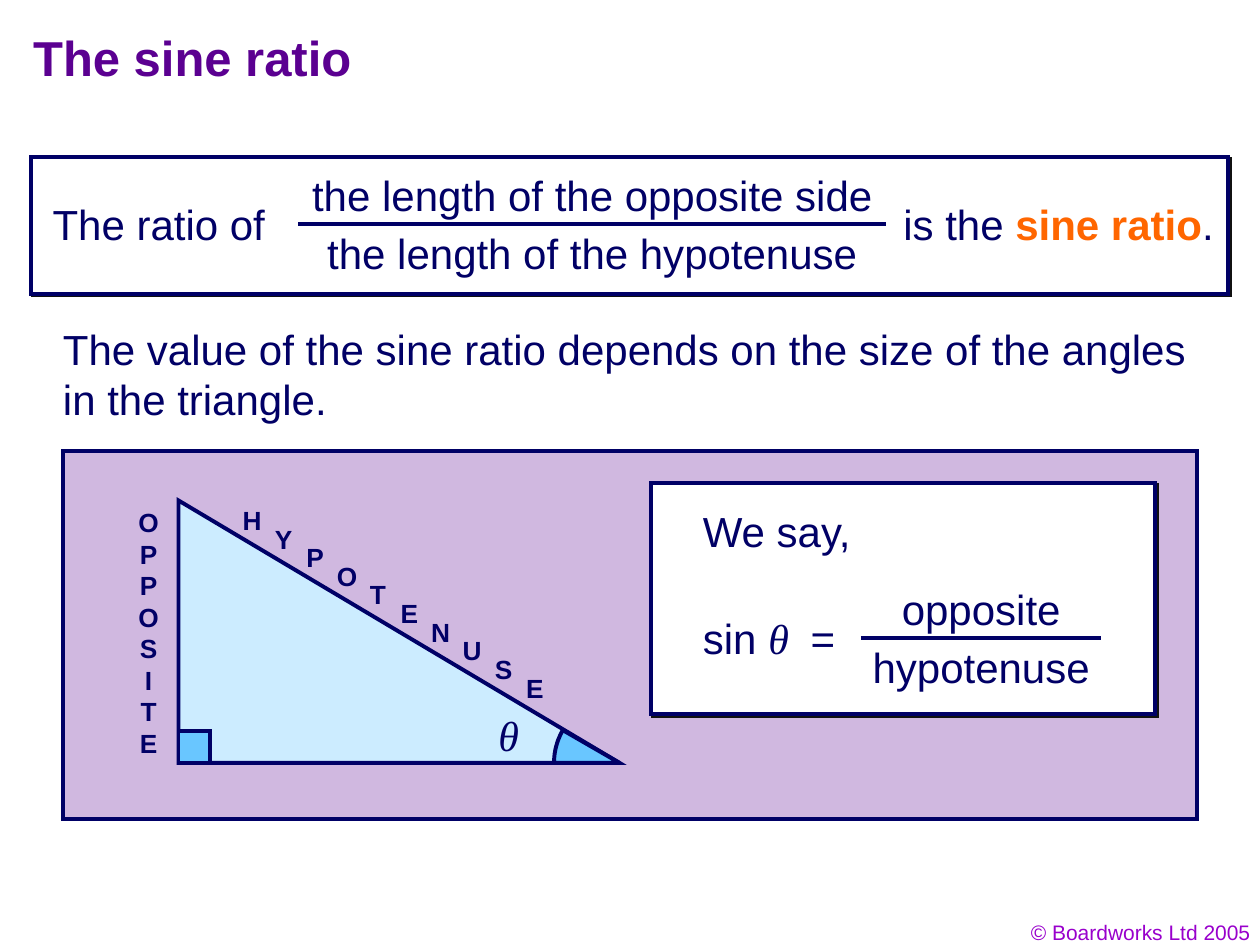
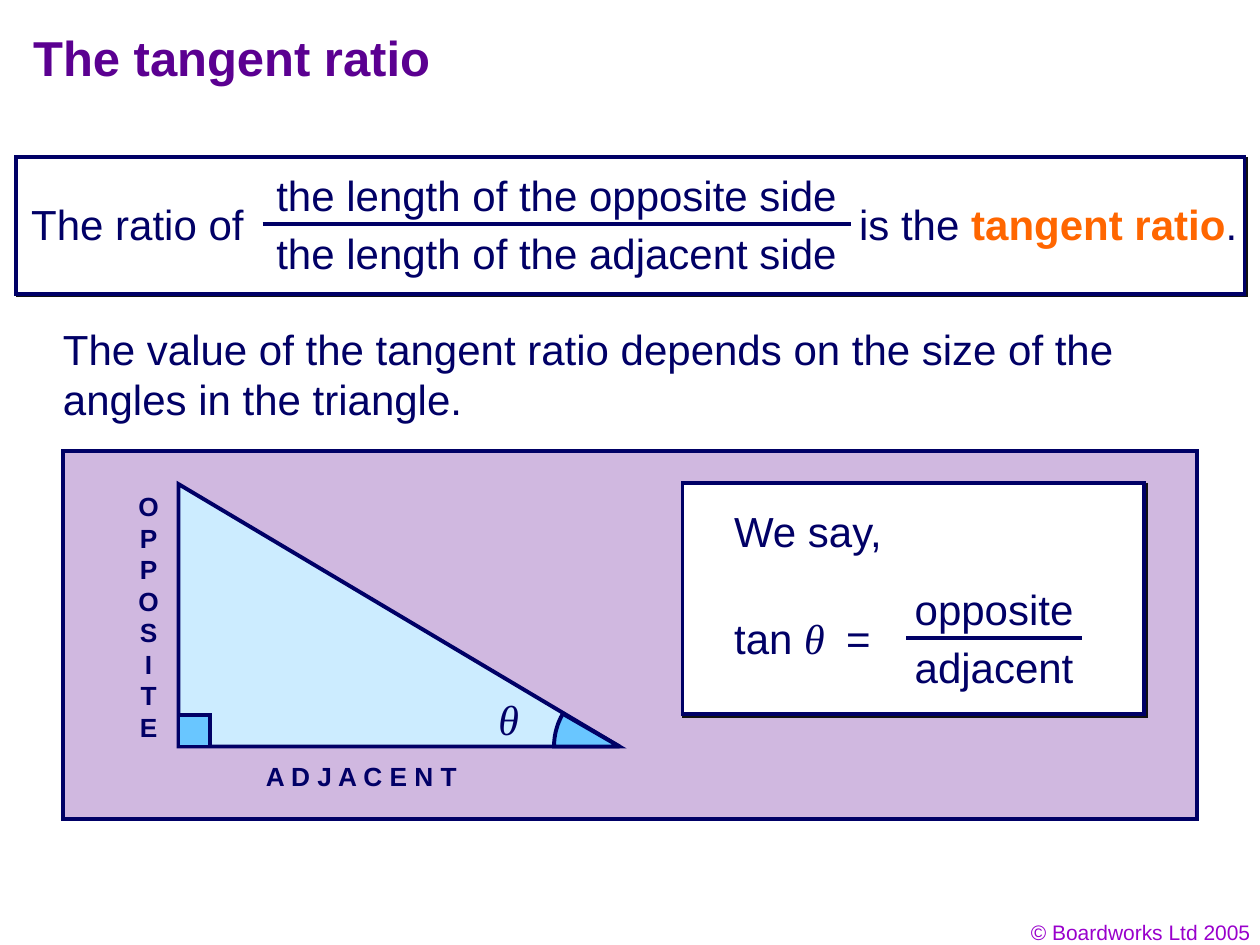
from dataclasses import dataclass, replace
from math import cos, radians, sin

from lxml.etree import SubElement
from pptx import Presentation
from pptx.dml.color import RGBColor
from pptx.enum.shapes import MSO_CONNECTOR as Connector, MSO_SHAPE as Preset
from pptx.enum.text import MSO_ANCHOR as Anchor, PP_ALIGN as Align
from pptx.oxml.ns import qn
from pptx.shapes.autoshape import Shape
from pptx.slide import Slide
from pptx.util import Cm, Pt

COLOURS = {
    "title": "5B0091",
    "footer": "9900CC",
    "text": "010066",
    "outline": "000066",
    "accent": "FF6600",
    "white": "FFFFFF",
    "panel": "D0B8E0",
    "triangle": "CCECFF",
    "angle": "69C6FF",
    "shadow": "111111",
}
LINE_WIDTH = Pt(2.25)
LINE_HEIGHT = 1.27
LETTER_SIZE = 0.89


@dataclass(frozen=True)
class Frame:
    left: float
    top: float
    width: float
    height: float = LINE_HEIGHT

    def lengths(self) -> tuple[Cm, Cm, Cm, Cm]:
        return Cm(self.left), Cm(self.top), Cm(self.width), Cm(self.height)


@dataclass(frozen=True)
class Span:
    text: str
    size: int = 24
    colour: str = "text"
    bold: bool = False
    italic: bool = False
    font: str = "Arial"


@dataclass(frozen=True)
class Fraction:
    numerator: str
    denominator: str
    centre: float
    top: float
    bar: float


@dataclass(frozen=True)
class RatioSlide:
    name: str
    function: str
    definition: Frame
    intro_left: float
    definition_fraction: Fraction
    ending: Frame
    triangle_top: float
    say_box: Frame
    equals_stop: float
    formula_fraction: Fraction


THETA = Span("θ", italic=True, font="Times New Roman")
LABEL = Span("", size=15, bold=True)
TITLE = Span("", size=28, colour="title", bold=True)
FOOTER = Span("© Boardworks Ltd 2005", size=12, colour="footer")

SLIDES = [
    RatioSlide(
        name="sine",
        function="sin",
        definition=Frame(0.63, 3.17, 24.13, 2.75),
        intro_left=0.81,
        definition_fraction=Fraction("the length of the opposite side",
                                     "the length of the hypotenuse", 11.94, 3.29, 11.85),
        ending=Frame(17.96, 3.88, 6.76),
        triangle_top=10.09,
        say_box=Frame(13.13, 9.74, 10.16, 4.66),
        equals_stop=2.17,
        formula_fraction=Fraction("opposite", "hypotenuse", 19.78, 11.64, 4.85),
    ),
    RatioSlide(
        name="tangent",
        function="tan",
        definition=Frame(0.32, 3.17, 24.77, 2.75),
        intro_left=0.38,
        definition_fraction=Fraction("the length of the opposite side",
                                     "the length of the adjacent side", 11.22, 3.29, 11.85),
        ending=Frame(17.07, 3.88, 8.13),
        triangle_top=9.76,
        say_box=Frame(13.76, 9.74, 9.31, 4.66),
        equals_stop=2.26,
        formula_fraction=Fraction("opposite", "adjacent", 20.04, 11.64, 3.55),
    ),
]


def colour(name: str) -> RGBColor:
    return RGBColor.from_string(COLOURS[name])


def add_text(page: Slide, frame: Frame, *spans: Span, align: Align = Align.LEFT,
             wrap: bool = False, anchor: Anchor = Anchor.TOP) -> Shape:
    box = page.shapes.add_textbox(*frame.lengths())
    text_frame = box.text_frame
    text_frame.word_wrap = wrap
    text_frame.vertical_anchor = anchor
    text_frame.text = spans[0].text
    for span in spans[1:]:
        text_frame.paragraphs[0].add_run().text = span.text
    for para in text_frame.paragraphs:
        para.alignment = align
        for run, span in zip(para.runs, spans):
            run.font.name = span.font
            run.font.size = Pt(span.size)
            run.font.bold = span.bold
            run.font.italic = span.italic
            run.font.color.rgb = colour(span.colour)
    return box


def paint(shape: Shape, fill: str) -> None:
    shape.shadow.inherit = False
    shape.fill.solid()
    shape.fill.fore_color.rgb = colour(fill)
    shape.line.color.rgb = colour("outline")
    shape.line.width = LINE_WIDTH
    SubElement(shape.element.spPr.find(qn("a:ln")), qn("a:miter"), lim="800000")


def add_block(page: Slide, frame: Frame, fill: str, preset: Preset = Preset.RECTANGLE) -> Shape:
    shape = page.shapes.add_shape(preset, *frame.lengths())
    paint(shape, fill)
    return shape


def add_card(page: Slide, frame: Frame) -> None:
    card = add_block(page, frame, "white")
    effects = card.element.spPr.find(qn("a:effectLst"))
    shadow = SubElement(effects, qn("a:outerShdw"), dist=str(Pt(1.4)), dir="2700000",
                        algn="ctr", rotWithShape="0")
    SubElement(shadow, qn("a:srgbClr"), val=COLOURS["shadow"])


def add_fraction(page: Slide, fraction: Fraction) -> None:
    left = fraction.centre - fraction.bar / 2
    overhang = 0.5
    parts = ((fraction.numerator, 0), (fraction.denominator, 1.17))
    for words, drop in parts:
        frame = Frame(left - overhang, fraction.top + drop, fraction.bar + 2 * overhang)
        add_text(page, frame, Span(words), align=Align.CENTER)
    bar_top = Cm(fraction.top + 1.22)
    bar = page.shapes.add_connector(Connector.STRAIGHT, Cm(left), bar_top,
                                    Cm(left + fraction.bar), bar_top)
    bar.line.color.rgb = colour("outline")
    bar.line.width = LINE_WIDTH
    SubElement(bar.element.spPr, qn("a:effectLst"))


def add_angle(page: Slide, right: float, bottom: float) -> None:
    radius = 1.32
    arc = [(Cm(right - radius * cos(radians(degree))), Cm(bottom - radius * sin(radians(degree))))
           for degree in range(0, 31, 2)]
    builder = page.shapes.build_freeform(Cm(right), Cm(bottom))
    builder.add_line_segments(arc, close=True)
    paint(builder.convert_to_shape(), "angle")


def add_hypotenuse_label(page: Slide) -> None:
    letters = "HYPOTENUSE"
    gaps = len(letters) - 1
    for index, letter in enumerate(letters):
        frame = Frame(4.64 + 5.7 * index / gaps, 10.04 + 3.38 * index / gaps,
                      LETTER_SIZE, LETTER_SIZE)
        add_text(page, frame, replace(LABEL, text=letter), align=Align.CENTER)


def add_triangle(page: Slide, top: float) -> None:
    triangle = Frame(3.6, top, 8.89, 5.29)
    right, bottom = triangle.left + triangle.width, top + triangle.height
    corner = 0.64
    add_block(page, triangle, "triangle", Preset.RIGHT_TRIANGLE)
    add_angle(page, right, bottom)
    add_block(page, Frame(triangle.left, bottom - corner, corner, corner), "angle")
    add_text(page, Frame(9.8, top + 4.09, 0.91), THETA, align=Align.CENTER)
    add_text(page, Frame(2.54, top, 0.91, 5.33), replace(LABEL, text="\n".join("OPPOSITE")),
             align=Align.CENTER)


def add_formula(page: Slide, ratio: RatioSlide) -> None:
    add_card(page, ratio.say_box)
    left = ratio.say_box.left + 0.79
    add_text(page, Frame(left, 10.06, 3.56), Span("We say,"))
    equation = add_text(page, Frame(left, 12.22, 3.4), Span(f"{ratio.function} "), THETA,
                        Span("\t="), wrap=True)
    properties = equation.text_frame.paragraphs[0]._p.get_or_add_pPr()
    stops = SubElement(properties, qn("a:tabLst"))
    SubElement(stops, qn("a:tab"), pos=str(Cm(ratio.equals_stop)), algn="l")
    add_fraction(page, ratio.formula_fraction)


def add_ratio_slide(page: Slide, ratio: RatioSlide) -> None:
    add_text(page, Frame(19.54, 18.42, 5.92, 0.77), FOOTER, align=Align.RIGHT, wrap=True)
    add_text(page, Frame(0.42, 0.41, 21.59, 1.49),
             replace(TITLE, text=f"The {ratio.name} ratio"), wrap=True, anchor=Anchor.MIDDLE)
    add_card(page, ratio.definition)
    add_text(page, Frame(ratio.intro_left, 3.88, 5.13), Span("The ratio of"), wrap=True)
    add_fraction(page, ratio.definition_fraction)
    add_text(page, ratio.ending, Span("is the "),
             Span(f"{ratio.name} ratio", colour="accent", bold=True), Span("."))
    add_text(page, Frame(1.02, 6.39, 23.31, 2.29),
             Span(f"The value of the {ratio.name} ratio depends on the size of the angles "
                  "in the triangle."), wrap=True)
    add_block(page, Frame(1.27, 9.1, 22.86, 7.41), "panel")
    add_triangle(page, ratio.triangle_top)
    if ratio.name == "sine":
        add_hypotenuse_label(page)
    else:
        add_text(page, Frame(5.11, 15.2, 4.42, LETTER_SIZE),
                 replace(LABEL, text="A D J A C E N T"))
    add_formula(page, ratio)


def main() -> None:
    deck = Presentation()
    deck.slide_width, deck.slide_height = Cm(25.4), Cm(19.05)
    for ratio in SLIDES:
        add_ratio_slide(deck.slides.add_slide(deck.slide_layouts[6]), ratio)
    deck.save("out.pptx")


if __name__ == "__main__":
    main()
